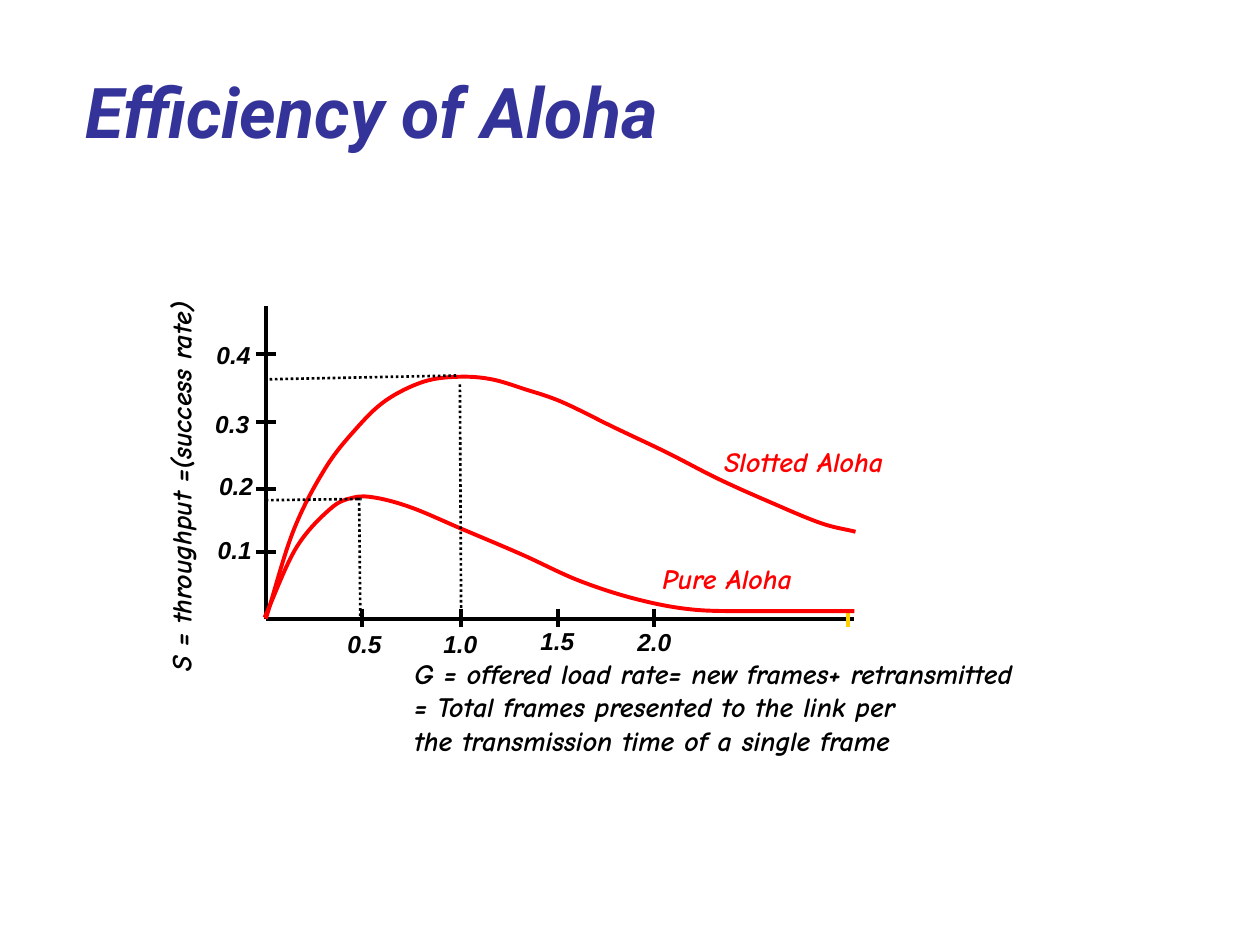
from dataclasses import dataclass

from pptx import Presentation
from pptx import util as u
from pptx.dml.color import RGBColor
from pptx.enum import dml, shapes, text
from pptx.oxml.ns import qn
from lxml import etree


@dataclass(frozen=True)
class Theme:
    title: str = "333399"
    ink: str = "000000"
    curve: str = "FF0000"
    accent: str = "FFCF01"
    title_font: str = "Roboto"
    note_font: str = "Comic Neue"
    tick_font: str = "Arial"
    title_size: int = 40
    note_size: int = 16
    tick_size: int = 14
    solid: float = 2.25
    dotted: float = 1.5


T = Theme()
COLS, ROWS = 100, 75
AXIS_X, AXIS_Y = 21.1, 49.1
X_TICKS = [("0.5", 28.7, 26.6, 49.4), ("1.0", 36.6, 34.2, 49.4),
           ("1.5", 44.3, 41.9, 49.2), ("2.0", 51.9, 49.6, 49.3)]
Y_TICKS = [("0.1", 43.8, 16.3, 42), ("0.2", 38.8, 16.4, 36.9),
           ("0.3", 33.5, 16.1, 32), ("0.4", 28.1, 16.2, 26.5)]
PURE = [(21, 49), (23.5, 43.5), (26.2, 40.4), (28, 39.5), (29.8, 39.5),
        (32.7, 40.3), (36.7, 42), (41.4, 44), (46, 46.1), (50.7, 47.6),
        (55.2, 48.4), (60.5, 48.5), (65, 48.5), (67.8, 48.5)]
SLOTTED = [(21.1, 49.1), (23.3, 42.1), (25.8, 37.2), (28.2, 34.1),
           (30.6, 31.8), (33.6, 30.3), (36.4, 29.9), (39, 30.1),
           (41.7, 30.9), (44.6, 31.9), (48.7, 33.9), (52.9, 35.9),
           (57, 38), (61, 39.8), (65.1, 41.5), (67.9, 42.2)]
GUIDES = [(21.1, 39.7, 28.7, 39.6), (28.5, 39.5, 28.6, 49.1),
          (36.5, 30.5, 36.6, 49), (21.4, 30.1, 36.4, 29.8)]


def cell(n):
    return u.Inches(n / 10)


def add_text(parent, lines, box, font, size, color, wrap=False, grow=True):
    sp = parent.add_textbox(*map(cell, box))
    tf = sp.text_frame
    tf.word_wrap = wrap
    tf.auto_size = (text.MSO_AUTO_SIZE.SHAPE_TO_FIT_TEXT if grow
                    else text.MSO_AUTO_SIZE.NONE)
    tf.text = "\n".join(lines)
    for p in tf.paragraphs:
        for r in p.runs:
            r.font.name = font
            r.font.size = u.Pt(size)
            r.font.bold = r.font.italic = True
            r.font.color.rgb = RGBColor.from_string(color)
    return sp


def add_line(parent, ends, color=T.ink, width=T.solid, dash=None):
    ln = parent.add_connector(shapes.MSO_CONNECTOR.STRAIGHT, *map(cell, ends))
    ln.line.color.rgb = RGBColor.from_string(color)
    ln.line.width = u.Pt(width)
    if dash:
        ln.line.dash_style = dash
    etree.SubElement(ln._element.spPr, qn("a:effectLst"))


def add_curve(parent, knots):
    pts = [(cell(x), cell(y)) for x, y in knots]
    fb = parent.build_freeform(*pts[0])
    fb.add_line_segments(pts[1:], close=False)
    sp = fb.convert_to_shape()
    sp.shadow.inherit = False
    sp.fill.background()
    sp.line.color.rgb = RGBColor.from_string(T.curve)
    sp.line.width = u.Pt(T.solid)
    smooth(sp)


def smooth(sp):
    pts = [(int(pt.get("x")), int(pt.get("y")))
           for pt in sp._element.iter(qn("a:pt"))]
    before = tuple(2 * a - b for a, b in zip(pts[0], pts[1]))
    after = tuple(2 * a - b for a, b in zip(pts[-1], pts[-2]))
    knots = [before, *pts, after]
    segments = list(sp._element.iter(qn("a:lnTo")))
    for seg, p0, p1, p2, p3 in zip(segments, knots, knots[1:], knots[2:],
                                   knots[3:]):
        c1 = [b + (c - a) / 6 for a, b, c in zip(p0, p1, p2)]
        c2 = [c - (d - b) / 6 for b, c, d in zip(p1, p2, p3)]
        bez = etree.Element(qn("a:cubicBezTo"))
        for x, y in (c1, c2, p2):
            etree.SubElement(bez, qn("a:pt"), x=str(round(x)), y=str(round(y)))
        seg.getparent().replace(seg, bez)


def add_axes(parent):
    add_line(parent, (AXIS_X, AXIS_Y, 67.8, AXIS_Y))
    add_line(parent, (AXIS_X, AXIS_Y, AXIS_X, 24.3))
    for _, x, _, _ in X_TICKS:
        add_line(parent, (x, 48.3, x, 49.8))
    add_line(parent, (67.3, 48.3, 67.3, 49.8), T.accent)
    for _, y, _, _ in Y_TICKS:
        add_line(parent, (20.3, y, 21.9, y))


def add_labels(parent):
    for label, _, x, y in X_TICKS + Y_TICKS:
        add_text(parent, [label], (x, y, 4.7, 3.4),
                 T.tick_font, T.tick_size, T.ink)
    add_text(parent, ["G = offered load rate= new frames+ retransmitted",
                      "= Total frames presented to the link per",
                      "the transmission time of a single frame"],
             (31.9, 51.6, 49.8, 9), T.note_font, T.note_size, T.ink)
    for name, box in (("Pure Aloha", (51.6, 44.1, 12.3, 3.7)),
                      ("Slotted Aloha", (56.5, 34.8, 14.6, 3.7))):
        add_text(parent, [name], box, T.note_font, T.note_size, T.curve)


def main():
    prs = Presentation()
    prs.slide_width, prs.slide_height = cell(COLS), cell(ROWS)
    s = prs.slides.add_slide(prs.slide_layouts[6])
    title = add_text(s.shapes, ["Efficiency of Aloha"], (5.8, 2.5, 88.9, 12.5),
                     T.title_font, T.title_size, T.title, True, False)
    title.text_frame.vertical_anchor = text.MSO_ANCHOR.MIDDLE
    y_title = add_text(s.shapes, ["S = throughput =(success rate)"],
                       (-3.6, 34.5, 35.9, 3.7),
                       T.note_font, T.note_size, T.ink, True)
    y_title.rotation = 270
    plot = s.shapes.add_group_shape().shapes
    add_axes(plot)
    for knots in (PURE, SLOTTED):
        add_curve(plot, knots)
    for ends in GUIDES:
        add_line(plot, ends, width=T.dotted, dash=dml.MSO_LINE.ROUND_DOT)
    add_labels(plot)
    prs.save("out.pptx")


if __name__ == "__main__":
    main()
